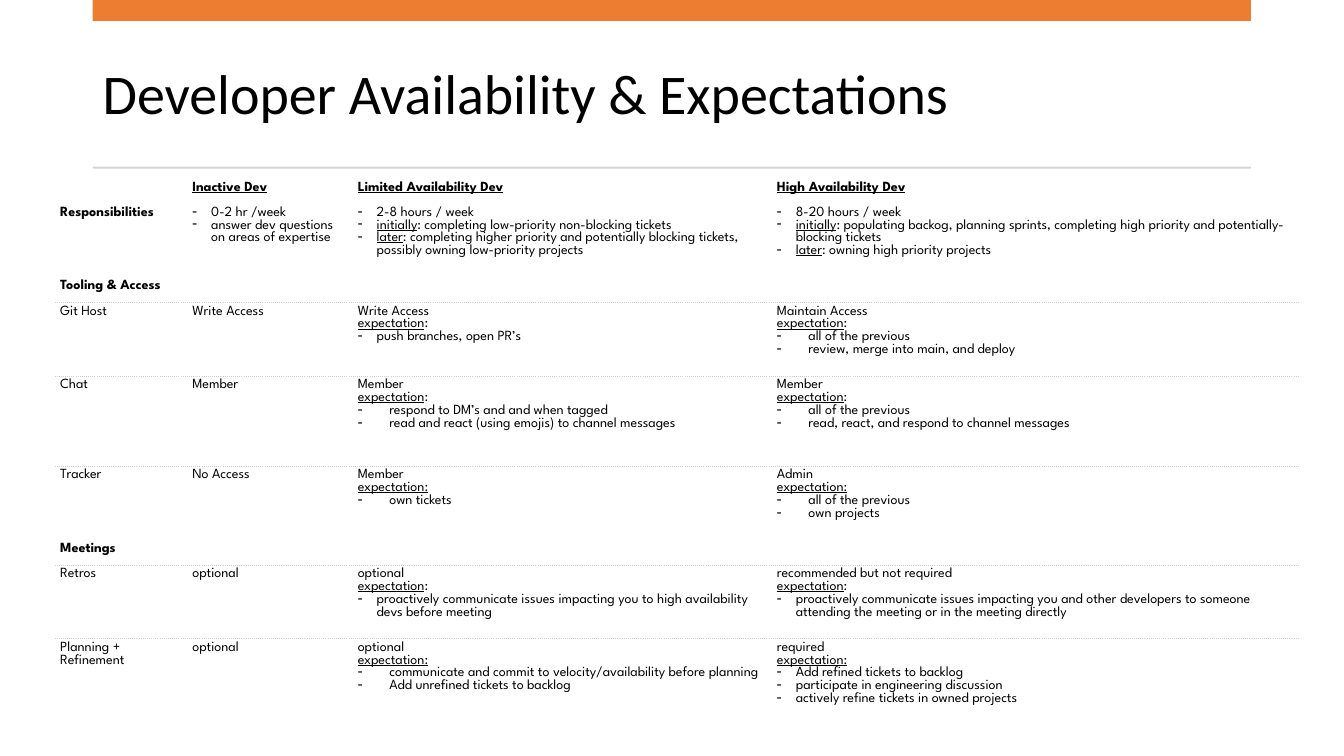
from dataclasses import dataclass

from lxml.etree import SubElement
from pptx import Presentation
from pptx.dml.color import RGBColor
from pptx.enum.shapes import MSO_SHAPE
from pptx.enum.text import MSO_ANCHOR, PP_ALIGN
from pptx.oxml import parse_xml
from pptx.oxml.ns import nsdecls, qn
from pptx.util import Pt


@dataclass(frozen=True)
class Theme:
    title_font: str = "Calibri"
    table_font: str = "League Spartan"
    title_size: int = 40
    table_size: int = 10
    ink: str = "000000"
    paper: str = "FFFFFF"
    accent: str = "ED7D31"
    rule: str = "D5D5D5"
    dots: str = "D0CECE"


THEME = Theme()
TITLE = "Developer Availability & Expectations"
EXPECT = "_expectation_:"
EXPECT_ALL = "_expectation:_"

# "- " and "-- " open bullets with a narrow and a wide indent; underscores enclose underlined words.
ROLES = [[], ["_Inactive Dev_"], ["_Limited Availability Dev_"], ["_High Availability Dev_"]]
RESPONSIBILITIES = [
    ["Responsibilities"],
    ["- 0-2 hr /week", "- answer dev questions on areas of expertise"],
    ["- 2-8 hours / week",
     "- _initially_: completing low-priority non-blocking tickets",
     "- _later_: completing higher priority and potentially blocking tickets, "
     "possibly owning low-priority projects"],
    ["- 8-20 hours / week",
     "- _initially_: populating backog, planning sprints, completing high priority "
     "and potentially-blocking tickets",
     "- _later_: owning high priority projects"],
]
TOOLING = [["Tooling & Access"], [], [], []]
CODE_HOST = [
    ["Git Host"],
    ["Write Access"],
    ["Write Access", EXPECT, "- push branches, open PR’s"],
    ["Maintain Access", EXPECT, "-- all of the previous", "-- review, merge into main, and deploy"],
]
CHAT = [
    ["Chat"],
    ["Member"],
    ["Member", EXPECT, "-- respond to DM’s and and when tagged",
     "-- read and react (using emojis) to channel messages"],
    ["Member", EXPECT, "-- all of the previous",
     "-- read, react, and respond to channel messages"],
]
TRACKER = [
    ["Tracker"],
    ["No Access"],
    ["Member", EXPECT_ALL, "-- own tickets"],
    ["Admin", EXPECT_ALL, "-- all of the previous", "-- own projects"],
]
MEETINGS = [["Meetings"], [], [], []]
RETROS = [
    ["Retros"],
    ["optional"],
    ["optional", EXPECT,
     "- proactively communicate issues impacting you to high availability devs before meeting"],
    ["recommended but not required", EXPECT,
     "- proactively communicate issues impacting you and other developers to someone "
     "attending the meeting or in the meeting directly"],
]
PLANNING = [
    ["Planning + Refinement"],
    ["optional"],
    ["optional", EXPECT_ALL,
     "-- communicate and commit to velocity/availability before planning",
     "-- Add unrefined tickets to backlog"],
    ["required", EXPECT_ALL, "- Add refined tickets to backlog",
     "- participate in engineering discussion",
     "- actively refine tickets in owned projects"],
]
ROWS = [ROLES, RESPONSIBILITIES, TOOLING, CODE_HOST, CHAT, TRACKER, MEETINGS, RETROS, PLANNING]
BOLD_ROWS = [ROLES, RESPONSIBILITIES, TOOLING, MEETINGS]
DOTTED_BELOW = [TOOLING, CODE_HOST, CHAT, MEETINGS, RETROS]

SLIDE_WIDTH, SLIDE_HEIGHT = 960, 540
BAND_LEFT, BAND_WIDTH = 66.2, 827.3
TABLE_LEFT, TABLE_TOP = 39.4, 127.5
COLUMN_WIDTHS = [94.4, 118.2, 299.4, 375.2]
SHORT, MEDIUM, TALL = 18, 52.65, 64.3
ROW_HEIGHTS = [SHORT, MEDIUM, SHORT, MEDIUM, TALL, MEDIUM, SHORT, MEDIUM, TALL]
INDENTS = {"-": 13.5, "--": 22.5}


def style(font, family, size):
    font.name = family
    font.size = Pt(size)
    font.color.rgb = RGBColor.from_string(THEME.ink)


def add_band(slide, top, height, color):
    band = slide.shapes.add_shape(
        MSO_SHAPE.RECTANGLE, Pt(BAND_LEFT), Pt(top), Pt(BAND_WIDTH), Pt(height))
    band.shadow.inherit = False
    band.fill.solid()
    band.fill.fore_color.rgb = RGBColor.from_string(color)
    band.line.fill.background()


def add_bullet(paragraph, indent):
    properties = paragraph._p.get_or_add_pPr()
    properties.set("marL", str(Pt(indent)))
    properties.set("indent", str(-Pt(indent)))
    SubElement(properties, qn("a:buChar")).set("char", "-")


def write_line(paragraph, line, bold):
    mark, _, rest = line.partition(" ")
    if mark in INDENTS:
        add_bullet(paragraph, INDENTS[mark])
        line = rest
    style(paragraph.font, THEME.table_font, THEME.table_size)
    paragraph.font.bold = bold
    for position, words in enumerate(line.split("_")):
        if words:
            run = paragraph.add_run()
            run.text = words
            if position % 2:
                run.font.underline = True


def add_dots(cell, side):
    cell._tc.get_or_add_tcPr().insert(0, parse_xml(
        f'<a:{side} {nsdecls("a")} w="{Pt(0.75)}"><a:solidFill><a:srgbClr val="{THEME.dots}"/>'
        f'</a:solidFill><a:prstDash val="sysDot"/></a:{side}>'))


def fill_cell(cell, lines, bold):
    cell.fill.solid()
    cell.fill.fore_color.rgb = RGBColor.from_string(THEME.paper)
    cell.margin_left = cell.margin_right = Pt(3.6)
    cell.margin_top = cell.margin_bottom = Pt(2)
    frame = cell.text_frame
    if not lines:
        end = SubElement(frame.paragraphs[0]._p, qn("a:endParaRPr"))
        end.set("sz", str(THEME.table_size * 100))
    for position, line in enumerate(lines):
        paragraph = frame.add_paragraph() if position else frame.paragraphs[0]
        write_line(paragraph, line, bold)


def add_title(slide):
    title = slide.shapes.title
    title.left, title.top = Pt(BAND_LEFT), Pt(26.6)
    title.width, title.height = Pt(BAND_WIDTH), Pt(85)
    title.text_frame.text = TITLE
    title.text_frame.vertical_anchor = MSO_ANCHOR.MIDDLE
    heading = title.text_frame.paragraphs[0]
    heading.alignment = PP_ALIGN.LEFT
    heading.line_spacing = 0.9
    style(heading.font, THEME.title_font, THEME.title_size)


def add_expectations(slide):
    table = slide.shapes.add_table(
        len(ROWS), len(COLUMN_WIDTHS), Pt(TABLE_LEFT), Pt(TABLE_TOP),
        Pt(sum(COLUMN_WIDTHS)), Pt(sum(ROW_HEIGHTS))).table
    table.first_row = table.horz_banding = False
    for column, width in zip(table.columns, COLUMN_WIDTHS):
        column.width = Pt(width)
    for index, (topic, height) in enumerate(zip(ROWS, ROW_HEIGHTS)):
        table.rows[index].height = Pt(height)
        for column, lines in enumerate(topic):
            cell = table.cell(index, column)
            bold = topic in BOLD_ROWS and (index == 0 or column == 0)
            fill_cell(cell, lines, bold)
            if topic in DOTTED_BELOW:
                add_dots(cell, "lnB")
            if index and ROWS[index - 1] in DOTTED_BELOW:
                add_dots(cell, "lnT")


def main():
    deck = Presentation()
    deck.slide_width, deck.slide_height = Pt(SLIDE_WIDTH), Pt(SLIDE_HEIGHT)
    slide = deck.slides.add_slide(deck.slide_layouts[5])
    add_title(slide)
    add_band(slide, 0, 15, THEME.accent)
    add_band(slide, 119, 1.4, THEME.rule)
    add_expectations(slide)
    deck.save("out.pptx")


if __name__ == "__main__":
    main()
